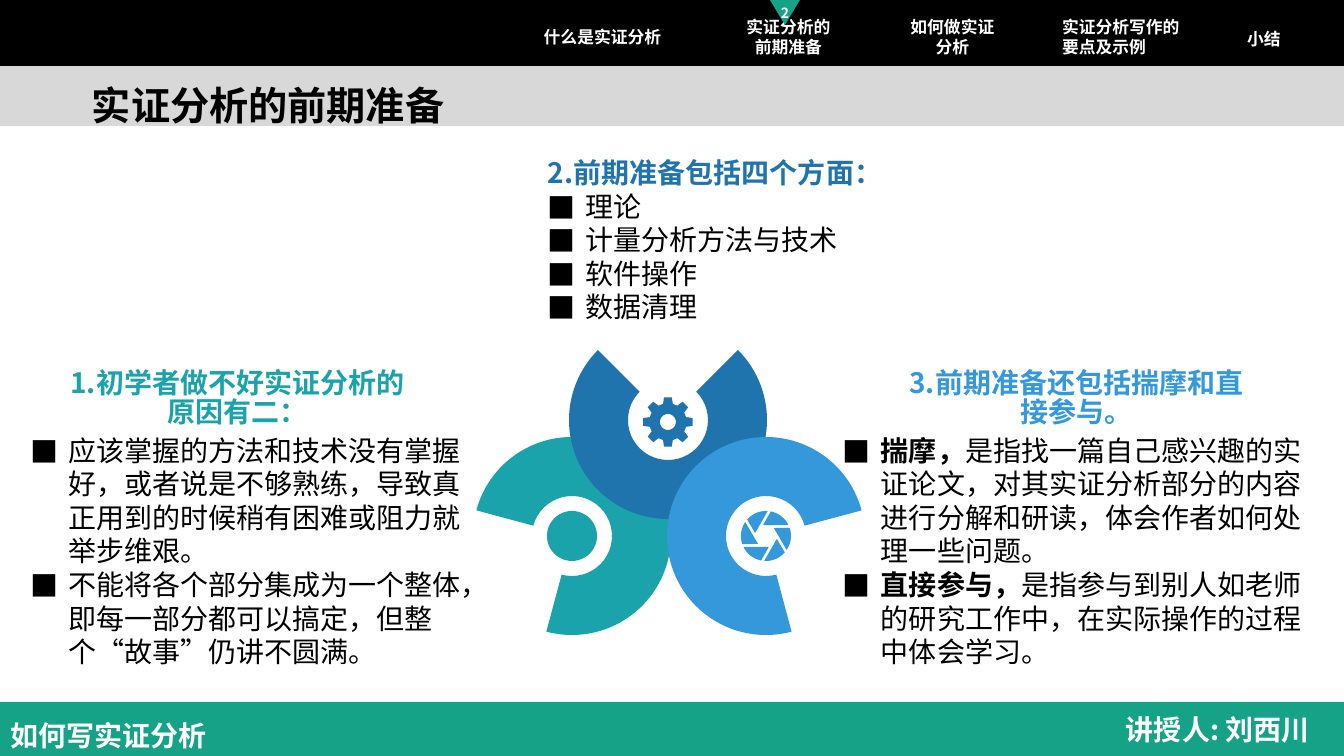
from math import cos, radians, sin

from lxml.etree import SubElement
from pptx import Presentation
from pptx.dml.color import RGBColor
from pptx.enum.shapes import MSO_SHAPE as SHAPE
from pptx.enum.text import MSO_ANCHOR as ANCHOR, PP_ALIGN as ALIGN
from pptx.oxml.ns import qn

PX = 914400 / 100.8
FONT = "Noto Sans CJK SC"
BLACK, WHITE, GREY, GREEN = "000000", "FFFFFF", "D8D8D8", "16A287"
TEAL, NAVY, SKY = "1AA3AA", "1F74AD", "3498DB"


def emu(px):
    return round(px * PX)


def rgb(hex_color):
    return RGBColor.from_string(hex_color)


def paint(sp, color):
    sp.shadow.inherit = False
    sp.fill.solid()
    sp.fill.fore_color.rgb = rgb(color)
    sp.line.fill.background()
    return sp


def preset(s, kind, x, y, w, h, color):
    return paint(s.shapes.add_shape(kind, emu(x), emu(y), emu(w), emu(h)), color)


def outline(s, contours, color):
    contours = [[(emu(x), emu(y)) for x, y in c] for c in contours]
    fb = s.shapes.build_freeform(*contours[0][0], scale=1.0)
    fb.add_line_segments(contours[0][1:], close=True)
    for contour in contours[1:]:
        fb.move_to(*contour[0])
        fb.add_line_segments(contour[1:], close=True)
    return paint(fb.convert_to_shape(), color)


def add_bullet(p, indent):
    pPr = p._p.get_or_add_pPr()
    pPr.set("marL", str(emu(indent)))
    pPr.set("indent", str(-emu(indent)))
    SubElement(pPr, qn("a:buFont")).set("typeface", FONT)
    SubElement(pPr, qn("a:buChar")).set("char", "■")


def write(sp, paras, size, color, bold=True, align=ALIGN.LEFT, anchor=ANCHOR.TOP,
          spacing=None, inset=(10, 5), bullet=0):
    tf = sp.text_frame
    dx, dy = map(emu, inset)
    frame = dict(word_wrap=True, vertical_anchor=anchor, margin_left=dx,
                 margin_right=dx, margin_top=dy, margin_bottom=dy)
    for name, value in frame.items():
        setattr(tf, name, value)
    for i, para in enumerate(paras):
        p = tf.add_paragraph() if i else tf.paragraphs[0]
        p.alignment = align
        if spacing:
            p.line_spacing = spacing
        if bullet:
            add_bullet(p, bullet)
        for words, strong in [(para, bold)] if isinstance(para, str) else para:
            r = p.add_run()
            r.text = words
            for name, value in dict(name=FONT, size=round(size * 12700), bold=strong).items():
                setattr(r.font, name, value)
            r.font.color.rgb = rgb(color)
            SubElement(r._r.get_or_add_rPr(), qn("a:ea")).set("typeface", FONT)


def label(s, x, y, w, h, paras, size, color, **fmt):
    write(s.shapes.add_textbox(emu(x), emu(y), emu(w), emu(h)), paras, size, color, **fmt)


def polar(cx, cy, r, deg):
    return cx + r * cos(radians(deg)), cy + r * sin(radians(deg))


def title_band(s, x, y, w, h):
    preset(s, SHAPE.RECTANGLE, x, y, w, h, GREY)
    label(s, x + 82, y + 16, 448, 47, ["实证分析的前期准备"], 28, BLACK)


def nav_bar(s, x, y, w, h):
    preset(s, SHAPE.RECTANGLE, x, y, w, h, BLACK)
    items = [
        (517, 13, 171, 47, ["什么是实证分析"], ALIGN.CENTER),
        (706, 17, 165, 39, ["实证分析的", "前期准备"], ALIGN.CENTER),
        (889, 15, 127, 44, ["如何做实证", "分析"], ALIGN.CENTER),
        (1052, 13, 138, 47, ["实证分析写作的要点及示例"], ALIGN.LEFT),
        (1215, 15, 98, 47, ["小结"], ALIGN.CENTER),
    ]
    for dx, dy, iw, ih, lines, align in items:
        label(s, x + dx, y + dy, iw, ih, lines, 12, WHITE, align=align, anchor=ANCHOR.MIDDLE)
    marker = outline(s, [[(x + 770, y), (x + 800, y), (x + 785, y + 25)]], GREEN)
    write(marker, ["2"], 10, WHITE, align=ALIGN.CENTER, anchor=ANCHOR.MIDDLE, inset=(0, 0))


def footer(s, x, y, w, h):
    preset(s, SHAPE.RECTANGLE, x, y, w, h, GREEN)
    label(s, x, y + 5, 223, 50, ["如何写实证分析"], 20, WHITE, spacing=1.2)
    label(s, x + w - 228, y + 5, 228, 44, ["讲授人: 刘西川"], 20, WHITE)


def petal(s, cx, cy, opening, color):
    outer, hole = 99, 40
    sp = preset(s, SHAPE.BLOCK_ARC, cx - outer, cy - outer, 2 * outer, 2 * outer, color)
    sp.adjustments[0] = (opening + 45) % 360 * 0.6
    sp.adjustments[1] = (opening - 45) % 360 * 0.6
    sp.adjustments[2] = (outer - hole) / (2 * outer)


def disc_icon(s, cx, cy, r, color):
    preset(s, SHAPE.OVAL, cx - r, cy - r, 2 * r, 2 * r, color)


def gear_icon(s, cx, cy, r, color):
    tooth = [(0.75, -15), (1, -9), (1, 9), (0.75, 15)]
    rim = [polar(cx, cy, r * k, 45 * i + a) for i in range(8) for k, a in tooth]
    hole = [polar(cx, cy, r * 0.32, -10 * i) for i in range(36)]
    outline(s, [rim, hole], color)


def aperture_icon(s, cx, cy, r, color):
    blades = []
    for turn in range(0, 360, 60):
        arc = [polar(cx, cy, r, turn - 26 - 53 * i / 10) for i in range(11)]
        blades.append(arc + [polar(cx, cy, r * 0.45, turn - 105)])
    outline(s, blades, color)


def flower(s, x, y):
    petals = [
        (95, 186, 150, TEAL, disc_icon),
        (191, 70, 270, NAVY, gear_icon),
        (289, 186, 30, SKY, aperture_icon),
    ]
    for dx, dy, opening, color, icon in petals:
        petal(s, x + dx, y + dy, opening, color)
    for dx, dy, opening, color, icon in petals:
        icon(s, x + dx, y + dy + (2 if icon is gear_icon else 0), 25, color)


def topic(s, head_box, body_box, heading, points, color, align=ALIGN.CENTER):
    label(s, *body_box, points, 20, BLACK, bold=False, bullet=38)
    label(s, *head_box, [heading], 20, color, align=align, anchor=ANCHOR.MIDDLE,
          spacing=0.85, inset=(12, 8))


def main():
    prs = Presentation()
    prs.slide_width, prs.slide_height = emu(1344), emu(756)
    s = prs.slides.add_slide(prs.slide_layouts[6])
    title_band(s, 0, 60, 1344, 66)
    nav_bar(s, 0, 0, 1344, 66)
    footer(s, 0, 702, 1344, 54)
    flower(s, 477, 350)
    topic(s, (50, 374, 375, 51), (20, 428, 460, 248), "1.初学者做不好实证分析的原因有二：", [
        "应该掌握的方法和技术没有掌握好，或者说是不够熟练，导致真正用到的时候稍有困难或阻力就举步维艰。",
        "不能将各个部分集成为一个整体，即每一部分都可以搞定，但整个“故事”仍讲不圆满。",
    ], TEAL)
    topic(s, (536, 149, 375, 51), (537, 184, 381, 146), "2.前期准备包括四个方面：",
          ["理论", "计量分析方法与技术", "软件操作", "数据清理"], NAVY, ALIGN.LEFT)
    topic(s, (889, 374, 375, 51), (833, 428, 481, 248), "3.前期准备还包括揣摩和直接参与。", [
        [("揣摩，", True),
         ("是指找一篇自己感兴趣的实证论文，对其实证分析部分的内容进行分解和研读，体会作者如何处理一些问题。", False)],
        [("直接参与，", True),
         ("是指参与到别人如老师的研究工作中，在实际操作的过程中体会学习。", False)],
    ], SKY)
    prs.save("out.pptx")


if __name__ == "__main__":
    main()
